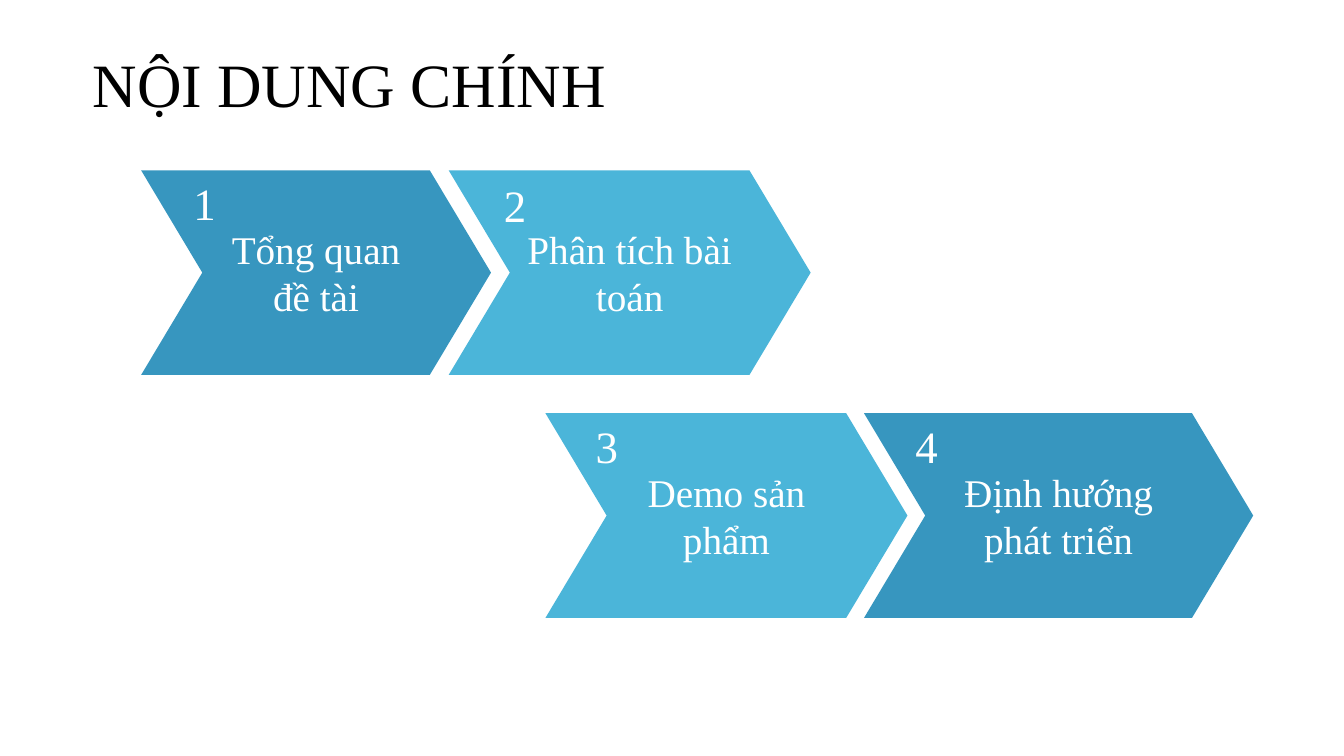
"""Build the agenda slide: a title and four numbered chevrons in two rows."""
import pptx
import pptx.util
import pptx.dml.color
import pptx.enum.shapes
import pptx.enum.text

PX = 9144
THEME = {
    "font": "Times New Roman",
    "ink": "000000",
    "light": "FFFFFF",
    "deep": "3796BF",
    "sky": "4BB5D9",
    "title": 44,
    "number": 32,
    "label": 28,
}
ALIGN = pptx.enum.text.PP_ALIGN
ANCHOR = pptx.enum.text.MSO_ANCHOR


def box(*sides):
    return [side * PX for side in sides]


def write(frame, text, size, color, align=ALIGN.LEFT):
    frame.word_wrap = True
    frame.text = text
    line = frame.paragraphs[0]
    line.alignment = align
    font = line.runs[0].font
    font.name = THEME["font"]
    font.size = pptx.util.Pt(THEME[size])
    font.color.rgb = pptx.dml.color.RGBColor.from_string(THEME[color])
    return line


deck = pptx.Presentation()
deck.slide_width, deck.slide_height = box(1333, 750)
slide = deck.slides.add_slide(deck.slide_layouts[6])

title = slide.shapes.add_textbox(*box(82, 14, 1114, 145)).text_frame
title.vertical_anchor = ANCHOR.MIDDLE
write(title, "NỘI DUNG CHÍNH", "title", "ink").line_spacing = 0.9

HEIGHT = 203
STEPS = [
    ("Tổng quan đề tài", 140, 169, 347, "deep", 42, 0),
    ("Phân tích bài toán", 445, 169, 359, "sky", 45, 2),
    ("Demo sản phẩm", 541, 410, 359, "sky", 40, 0),
    ("Định hướng phát triển", 857, 410, 386, "deep", 41, 0),
]

for number, (label, left, top, width, fill, right, down) in enumerate(STEPS, 1):
    group = slide.shapes.add_group_shape()
    arrow = group.shapes.add_shape(
        pptx.enum.shapes.MSO_SHAPE.CHEVRON, *box(left, top, width, HEIGHT))
    arrow.adjustments[0] = 0.299
    arrow.shadow.inherit = False
    arrow.fill.solid()
    arrow.fill.fore_color.rgb = pptx.dml.color.RGBColor.from_string(THEME[fill])
    arrow.line.fill.background()
    frame = arrow.text_frame
    frame.vertical_anchor = ANCHOR.MIDDLE
    frame.margin_top = frame.margin_bottom = 10 * PX
    frame.margin_left = frame.margin_right = 10 * PX
    write(frame, label, "label", "light", ALIGN.CENTER)

    badge = group.shapes.add_textbox(*box(left + right, top + down, 65, 64))
    write(badge.text_frame, str(number), "number", "light")

deck.save("out.pptx")
